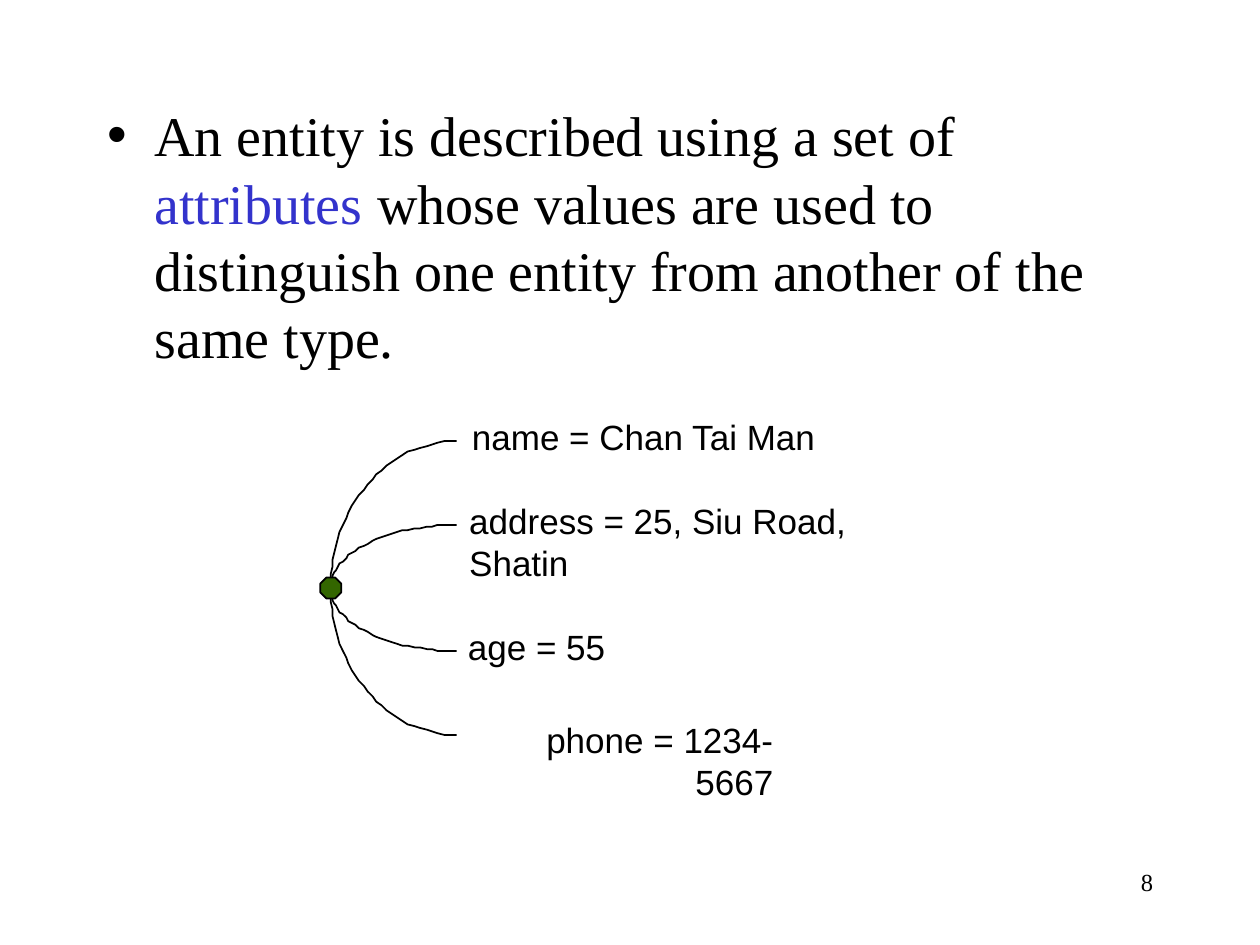
import math

import lxml.etree
import pptx
import pptx.dml.color
import pptx.enum.shapes
import pptx.enum.text
import pptx.oxml.ns
import pptx.util

Pt = pptx.util.Pt
ALIGN = pptx.enum.text.PP_ALIGN
COLORS = {"text": "000000", "keyword": "3333CC", "node": "336600"}
SERIF, SANS = "Times New Roman", "Arial"


def rgb(name):
    return pptx.dml.color.RGBColor.from_string(COLORS[name])


class EntitySlide:
    def __init__(self, deck):
        self.slide = deck.slides.add_slide(deck.slide_layouts[1])
        title = self.slide.shapes.title
        title.element.getparent().remove(title.element)

    def style(self, font, face, size, color="text"):
        font.name, font.size = face, Pt(size)
        font.color.rgb = rgb(color)

    def statement(self, parts, left, top, width, height):
        body = self.slide.placeholders[1]
        body.left, body.top, body.width, body.height = map(Pt, (left, top, width, height))
        body.text_frame.auto_size = pptx.enum.text.MSO_AUTO_SIZE.NONE
        paragraph = body.text_frame.paragraphs[0]
        paragraph.space_before = Pt(0)
        properties = paragraph._p.get_or_add_pPr()
        properties.set("marL", str(Pt(27)))
        properties.set("indent", str(Pt(-27)))
        bullet = lxml.etree.SubElement(properties, pptx.oxml.ns.qn("a:buChar"))
        bullet.set("char", "•")
        for words, color in parts:
            run = paragraph.add_run()
            run.text = words
            self.style(run.font, SERIF, 32, color)

    def label(self, words, left, top, width, height, face, size, align):
        box = self.slide.shapes.add_textbox(*map(Pt, (left, top, width, height)))
        box.text_frame.word_wrap = True
        box.text_frame.text = words
        paragraph = box.text_frame.paragraphs[0]
        paragraph.alignment = align
        self.style(paragraph.runs[0].font, face, size)

    def outline(self, shape):
        shape.shadow.inherit = False
        shape.line.color.rgb = rgb("text")
        shape.line.width = Pt(1)

    def branch(self, x, y, reach, rise, steps=32):
        """Quarter ellipse from the node at (x, y) to the attribute's end."""
        angles = [math.pi / 2 * step / steps for step in range(steps + 1)]
        points = [(x + reach * (1 - math.cos(a)), y + rise * math.sin(a)) for a in angles]
        builder = self.slide.shapes.build_freeform(*points[0], scale=Pt(1))
        builder.add_line_segments(points[1:], close=False)
        curve = builder.convert_to_shape()
        curve.fill.background()
        self.outline(curve)

    def node(self, x, y, size):
        octagon = self.slide.shapes.add_shape(
            pptx.enum.shapes.MSO_SHAPE.OCTAGON,
            Pt(x - size / 2), Pt(y - size / 2), Pt(size), Pt(size))
        octagon.fill.solid()
        octagon.fill.fore_color.rgb = rgb("node")
        self.outline(octagon)


def main():
    deck = pptx.Presentation()
    deck.slide_width, deck.slide_height = Pt(720), Pt(540)
    page = EntitySlide(deck)

    # Page number and statement
    page.label("8", 516, 492, 150, 36, SERIF, 14, ALIGN.RIGHT)
    page.statement([
        ("An entity is described using a set of ", "text"),
        ("attributes", "keyword"),
        (" whose values are used to distinguish one entity from another of the same type.", "text"),
    ], 54, 54, 612, 426)

    # Branches from the entity to its attributes
    node_x, node_y, reach = 189, 336, 72
    for rise in (-84, 84, -36, 36):
        page.branch(node_x, node_y, reach, rise)
    page.node(node_x, node_y, 12)

    # Attribute values: text, left, top, width, alignment
    attributes = [
        ("name = Chan Tai Man", 260, 234, 213, ALIGN.RIGHT),
        ("address = 25, Siu Road, Shatin", 261, 282, 286, ALIGN.LEFT),
        ("age = 55", 257, 354, 96, ALIGN.RIGHT),
        ("phone = 1234-5667", 265, 407, 184, ALIGN.RIGHT),
    ]
    for words, left, top, width, align in attributes:
        page.label(words, left, top, width, 31, SANS, 20, align)

    deck.save("out.pptx")


if __name__ == "__main__":
    main()
